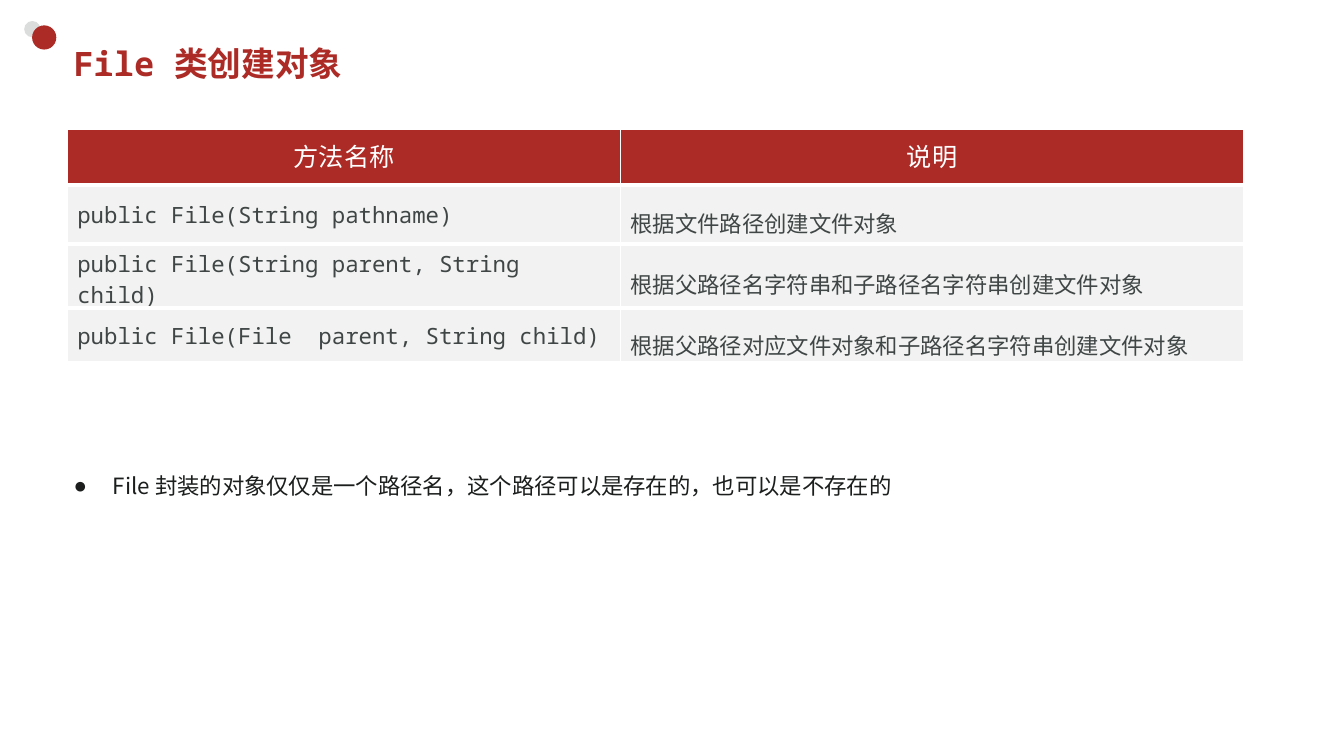
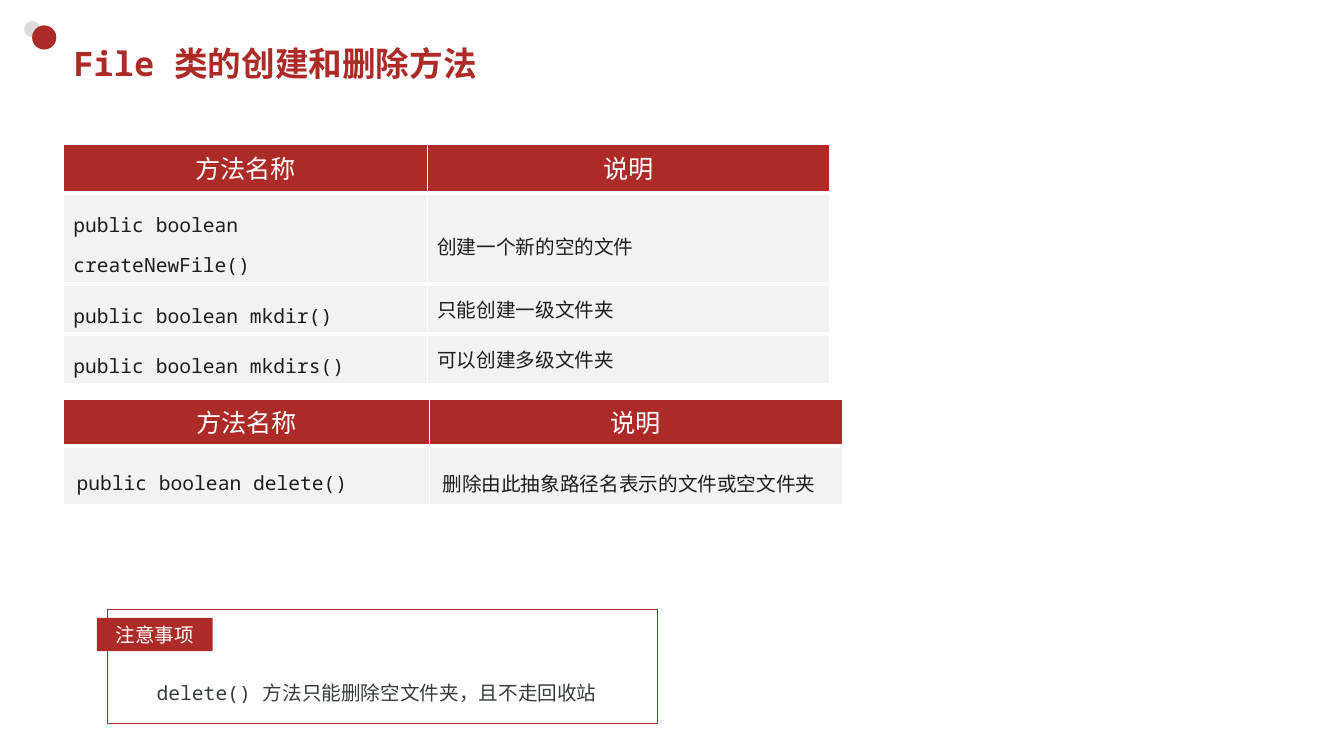
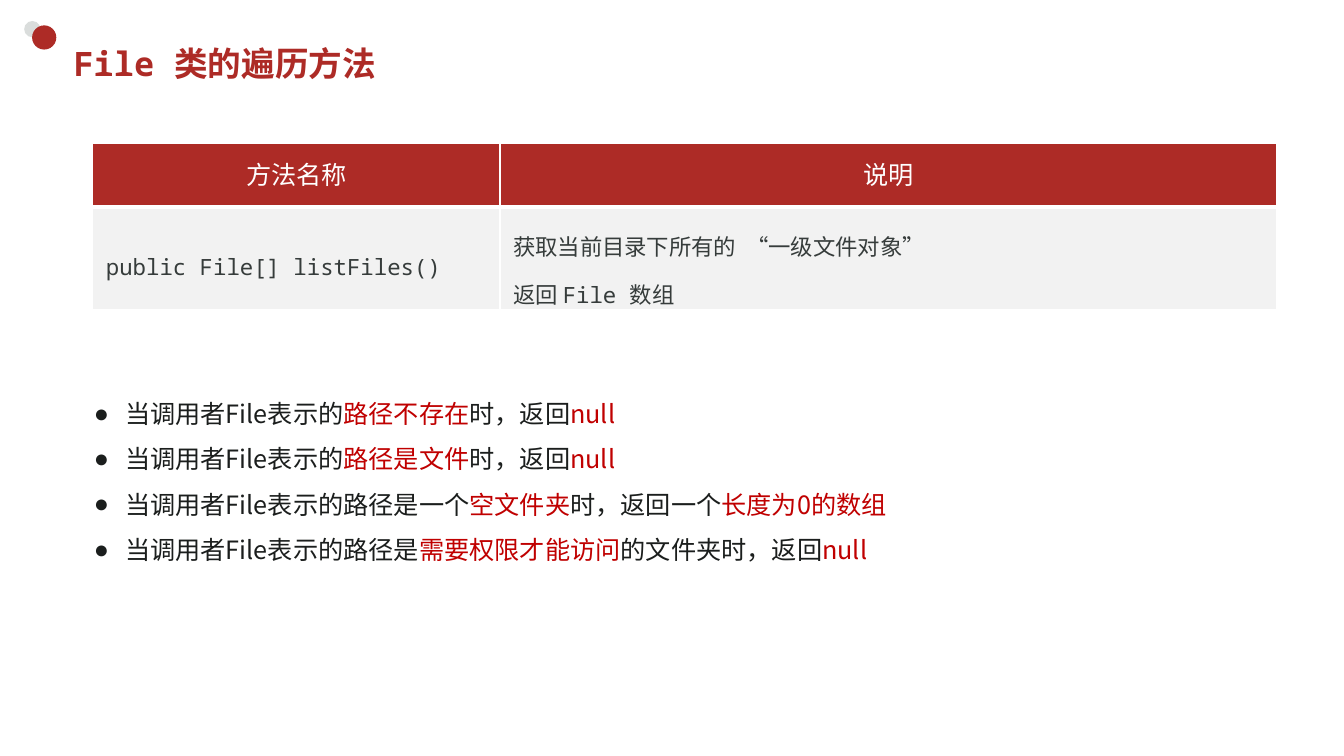
from lxml.etree import SubElement
from pptx import Presentation
from pptx.dml.color import RGBColor
from pptx.enum.shapes import MSO_SHAPE
from pptx.enum.text import MSO_ANCHOR, MSO_AUTO_SIZE, PP_ALIGN
from pptx.oxml.ns import qn
from pptx.util import Cm, Pt

RED = RGBColor(0xAD, 0x2B, 0x26)
MARK = RGBColor(0xC0, 0x00, 0x00)
SILVER = RGBColor(0xDA, 0xDD, 0xDC)
PALE = RGBColor(0xF2, 0xF2, 0xF2)
WHITE = RGBColor(0xFF, 0xFF, 0xFF)
INK = RGBColor(0x1B, 0x1E, 0x1D)
SLATE = RGBColor(0x36, 0x3C, 0x3B)
GREY = RGBColor(0x3F, 0x46, 0x45)
MONO, SANS = "Noto Sans Mono", "Arial"
HAN, HAN_SC = "Noto Sans CJK JP", "Noto Sans CJK SC"


def write(frame, text, size=14, font=MONO, color=INK, bold=False,
          align=PP_ALIGN.LEFT, gap=1.0, indent=None):
    """Fill a frame: newlines part paragraphs, bars enclose marked words."""
    frame.word_wrap = True
    for i, line in enumerate(text.split("\n")):
        para = frame.add_paragraph() if i else frame.paragraphs[0]
        if indent:
            props = para._p.get_or_add_pPr()
            props.set("marL", str(Cm(indent)))
            props.set("indent", str(-Cm(indent)))
            SubElement(props, qn("a:buFont"), typeface=SANS)
            SubElement(props, qn("a:buChar"), char="●")
        para.alignment = align
        para.line_spacing = gap
        para.space_before = Pt(0)
        for j, part in enumerate(line.split("|")):
            if not part:
                continue
            run = para.add_run()
            run.text = part
            run.font.size = Pt(size)
            run.font.bold = bold
            run.font.name = font
            run.font.color.rgb = MARK if j % 2 else color
            east = font if font in (HAN, HAN_SC) else HAN_SC
            SubElement(run._r.get_or_add_rPr(), qn("a:ea"), typeface=east)


def grid(slide, left, top, cols, rows, body, gaps, pad=(0.25, 0.13),
         size=14, fonts=(MONO, HAN), color=INK):
    """Add a method table: a red head row over pale rows."""
    table = slide.shapes.add_table(
        len(rows), len(cols), Cm(left), Cm(top),
        Cm(sum(cols)), Cm(sum(rows))).table
    table.horz_banding = False
    for col, width in zip(table.columns, cols):
        col.width = Cm(width)
    for row, height in zip(table.rows, rows):
        row.height = Cm(height)
    for r, texts in enumerate([("方法名称", "说明")] + body):
        for c, text in enumerate(texts):
            cell = table.cell(r, c)
            cell.vertical_anchor = MSO_ANCHOR.MIDDLE
            wide, high = pad if r else (0.25, 0.13)
            cell.margin_left = cell.margin_right = Cm(wide)
            cell.margin_top = cell.margin_bottom = Cm(high)
            # White borders come before the fill in the cell's XML
            props = cell._tc.get_or_add_tcPr()
            for side, weight in (("L", 1), ("R", 1), ("T", 3 if r else 1), ("B", 3)):
                edge = SubElement(props, qn("a:ln" + side), w=str(Pt(weight)))
                paint = SubElement(edge, qn("a:solidFill"))
                SubElement(paint, qn("a:srgbClr"), val=str(WHITE))
            cell.fill.solid()
            cell.fill.fore_color.rgb = PALE if r else RED
            if r:
                write(cell.text_frame, text, size=size, font=fonts[c],
                      color=color, gap=gaps[r - 1][c])
            else:
                write(cell.text_frame, text, size=18, font=SANS, color=WHITE,
                      align=PP_ALIGN.CENTER, gap=Pt(24))


deck = Presentation()
deck.slide_width, deck.slide_height = Cm(33.87), Cm(19.05)

# Slides with their titles
slides = []
for text, kind in (("File 类创建对象", 1), ("File 类的创建和删除方法", 5),
                   ("File 类的遍历方法", 1)):
    slide = deck.slides.add_slide(deck.slide_layouts[kind])
    title = slide.shapes.title
    title.left, title.top = Cm(1.6), Cm(0.94)
    title.width, title.height = Cm(29.82), Cm(1.32)
    title.text_frame.vertical_anchor = MSO_ANCHOR.MIDDLE
    title.text_frame.auto_size = MSO_AUTO_SIZE.NONE
    write(title.text_frame, text, size=24, color=RED, bold=True)
    slides.append(slide)
make, edit, walk = slides

# Corner dots, kept on the master
for i, (left, top, size, color) in enumerate(
        ((0.61, 0.53, 0.41, SILVER), (0.81, 0.64, 0.61, RED))):
    dot = make.shapes.add_shape(
        MSO_SHAPE.OVAL, Cm(left), Cm(top), Cm(size), Cm(size))
    dot.shadow.inherit = False
    dot.fill.solid()
    dot.fill.fore_color.rgb = color
    dot.line.fill.background()
    dot.element.nvSpPr.cNvPr.set("id", str(20 + i))
    deck.slide_master.shapes.element.append(dot.element)

# Slide 1: constructors
grid(make, 1.7, 3.25, (13.94, 15.7), (1.42, 1.47, 1.3, 1.4), [
    ("public File(String pathname)", "根据文件路径创建文件对象"),
    ("public File(String parent, String child)",
     "根据父路径名字符串和子路径名字符串创建文件对象"),
    ("public File(File  parent, String child)",
     "根据父路径对应文件对象和子路径名字符串创建文件对象"),
], gaps=[(1.0, 1.5)] * 3, size=16, color=GREY)

# Slide 2: create and delete
grid(edit, 1.6, 3.63, (9.17, 10.13), (1.24, 1.4, 1.24, 1.24), [
    ("public boolean createNewFile()", "创建一个新的空的文件"),
    ("public boolean mkdir()", "只能创建一级文件夹"),
    ("public boolean mkdirs()", "可以创建多级文件夹"),
], gaps=[(1.5, 1.5), (1.5, 1.0), (1.5, 1.0)])
grid(edit, 1.6, 10.06, (9.22, 10.41), (1.17, 1.52), [
    ("public boolean delete()", "删除由此抽象路径名表示的文件或空文件夹"),
], gaps=[(1.5, 1.5)], pad=(0.33, 0.17), fonts=(MONO, HAN_SC))

# Slide 2: framed note with its tag
note = edit.shapes.add_textbox(Cm(3.7), Cm(16.74), Cm(11.8), Cm(1.07))
write(note.text_frame, "delete() 方法只能删除空文件夹，且不走回收站",
      color=SLATE, gap=1.5)
frame = edit.shapes.add_shape(
    MSO_SHAPE.RECTANGLE, Cm(2.72), Cm(15.37), Cm(13.84), Cm(2.87))
frame.fill.background()
frame.line.color.rgb = RED
frame.line.width = Pt(0.75)
tag = edit.shapes.add_shape(
    MSO_SHAPE.RECTANGLE, Cm(2.44), Cm(15.57), Cm(2.92), Cm(0.84))
tag.fill.solid()
tag.fill.fore_color.rgb = RED
tag.line.fill.background()
tag.text_frame.vertical_anchor = MSO_ANCHOR.MIDDLE
write(tag.text_frame, "注意事项", font=SANS, color=WHITE, align=PP_ALIGN.CENTER)
for box in (frame, tag):
    box.shadow.inherit = False

# Slide 3: listing files
grid(walk, 2.34, 3.61, (10.26, 19.58), (1.6, 2.62), [
    ("public File[] listFiles()",
     "获取当前目录下所有的  “一级文件对象”\n返回 File 数组"),
], gaps=[(1.5, 1.5)], pad=(0.33, 0.17), size=16, fonts=(MONO, MONO), color=SLATE)

# Bullet lists of slides 1 and 3
for slide, place, text, size, gap, indent in (
    (make, (1.6, 11.1, 28.09, 1.45),
     "File 封装的对象仅仅是一个路径名，这个路径可以是存在的，也可以是不存在的",
     16, 2.0, 0.99),
    (walk, (2.11, 9.53, 29.31, 4.78),
     "当调用者File表示的|路径不存在|时，返回|null|\n"
     "当调用者File表示的|路径是文件|时，返回|null|\n"
     "当调用者File表示的路径是一个|空文件夹|时，返回一个|长度为0的数组|\n"
     "当调用者File表示的路径是|需要权限才能访问|的文件夹时，返回|null|",
     18, 1.5, 0.79),
):
    body = slide.placeholders[1]
    body.left, body.top, body.width, body.height = map(Cm, place)
    body.text_frame.auto_size = MSO_AUTO_SIZE.SHAPE_TO_FIT_TEXT
    write(body.text_frame, text, size=size, font=HAN, gap=gap, indent=indent)

deck.save("out.pptx")
